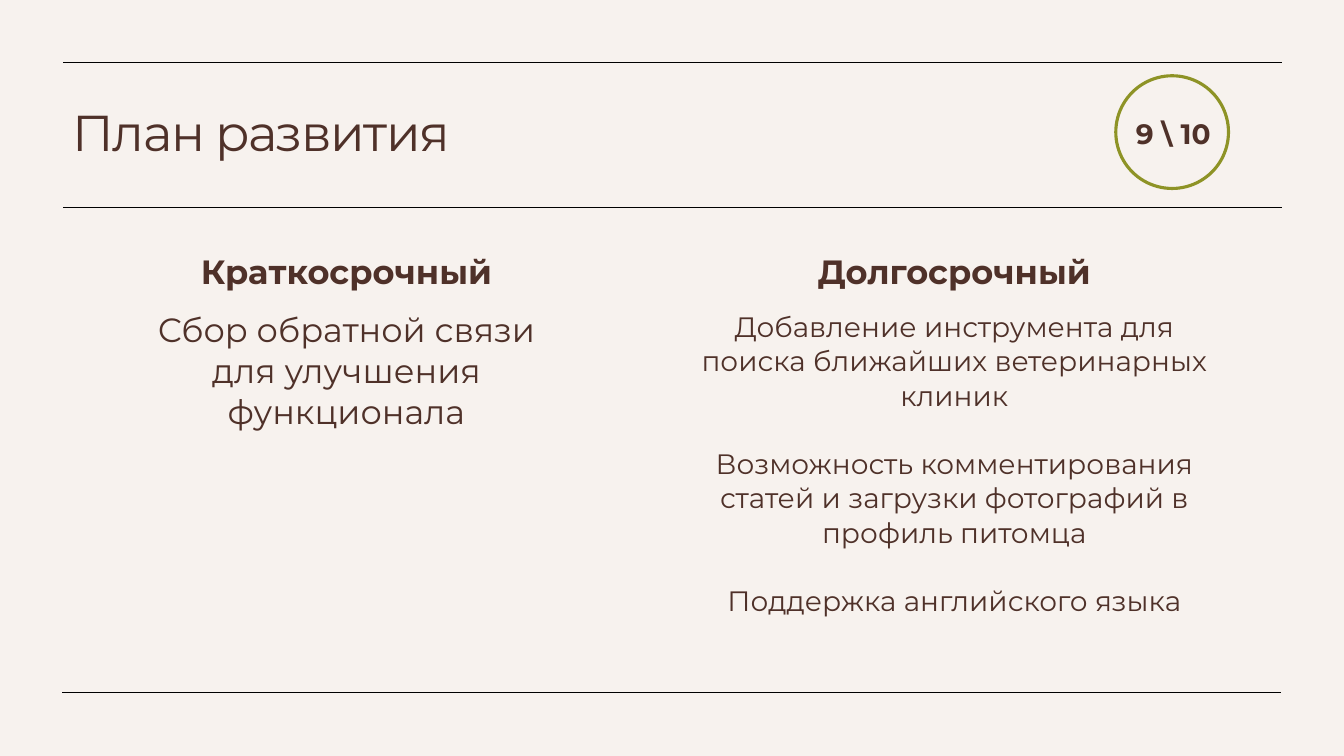
from pptx import Presentation
from pptx.dml.color import RGBColor
from pptx.enum.shapes import MSO_CONNECTOR as CONN, MSO_SHAPE as SHAPE
from pptx.enum.text import MSO_ANCHOR as ANCHOR, PP_ALIGN as ALIGN
from pptx.util import Cm, Pt
from lxml import etree

BROWN = "4F3129"
NO_STYLE = "{2D5ABB26-0587-4C30-8999-92F81FD0307C}"


def color(value):
    return RGBColor.from_string(value)


def style(p, size, bold=False, align=ALIGN.CENTER):
    p.alignment = align
    for r in p.runs:
        r.font.name = "Montserrat"
        r.font.size = Pt(size)
        r.font.bold = bold
        r.font.color.rgb = color(BROWN)


prs = Presentation()
prs.slide_width, prs.slide_height = Cm(33.87), Cm(19.05)
s = prs.slides.add_slide(prs.slide_layouts[5])
s.background.fill.solid()
s.background.fill.fore_color.rgb = color("F7F2EE")

# Horizontal rules
for left, y in [(1.57, 17.45), (1.6, 5.23), (1.6, 1.58)]:
    line = s.shapes.add_connector(CONN.STRAIGHT, Cm(left), Cm(y), Cm(left + 30.72), Cm(y))
    line.line.color.rgb = color("000000")
    line.line.width = Pt(0.5)
    etree.SubElement(line.element.spPr, "{http://schemas.openxmlformats.org/drawingml/2006/main}effectLst")

# Title
title = s.shapes.title
title.left, title.top, title.width, title.height = Cm(1.57), Cm(1.9), Cm(30.68), Cm(3.02)
tf = title.text_frame
tf.text = "План развития"
tf.vertical_anchor = ANCHOR.MIDDLE
p = tf.paragraphs[0]
p.line_spacing = 0.9
style(p, 36, align=ALIGN.LEFT)
p.runs[0].font._element.set("spc", "-100")

# Plan table: two columns of text with an empty gap between them
plan = [
    (0, "Краткосрочный", 24, ["Сбор обратной связи для улучшения функционала"]),
    (2, "Долгосрочный", 20, [
        "Добавление инструмента для поиска ближайших ветеринарных клиник",
        "Возможность комментирования статей и загрузки фотографий в профиль питомца",
        "Поддержка английского языка",
    ]),
]
frame = s.shapes.add_table(2, 3, Cm(3.28), Cm(6.22), Cm(27.69), Cm(9.35))
table = frame.table
table.first_row = table.horz_banding = False
table._tbl.tblPr[0].text = NO_STYLE
for col, width in zip(table.columns, (10.9, 2.95, 13.84)):
    col.width = Cm(width)
for row, height in zip(table.rows, (1.47, 7.88)):
    row.height = Cm(height)
for cell in table.iter_cells():
    cell.fill.background()
for col, heading, size, items in plan:
    head, body = table.cell(0, col), table.cell(1, col)
    head.text = heading
    style(head.text_frame.paragraphs[0], 24, bold=True)
    body.text = "\n".join(items)
    for i, p in enumerate(body.text_frame.paragraphs):
        style(p, size)
        if i:
            p.space_before = Pt(24.4)

# Page number in a ring
box = s.shapes.add_textbox(Cm(27.43), Cm(2.95), Cm(3.33), Cm(0.81))
tf = box.text_frame
tf.word_wrap = True
tf.vertical_anchor = ANCHOR.MIDDLE
tf.text = "9 \\ 10"
style(tf.paragraphs[0], 20, bold=True, align=ALIGN.RIGHT)

ring = s.shapes.add_shape(SHAPE.OVAL, Cm(28.12), Cm(1.91), Cm(2.84), Cm(2.84))
ring.shadow.inherit = False
ring.fill.background()
ring.line.color.rgb = color("8E9326")
ring.line.width = Pt(2.25)

prs.save("out.pptx")
